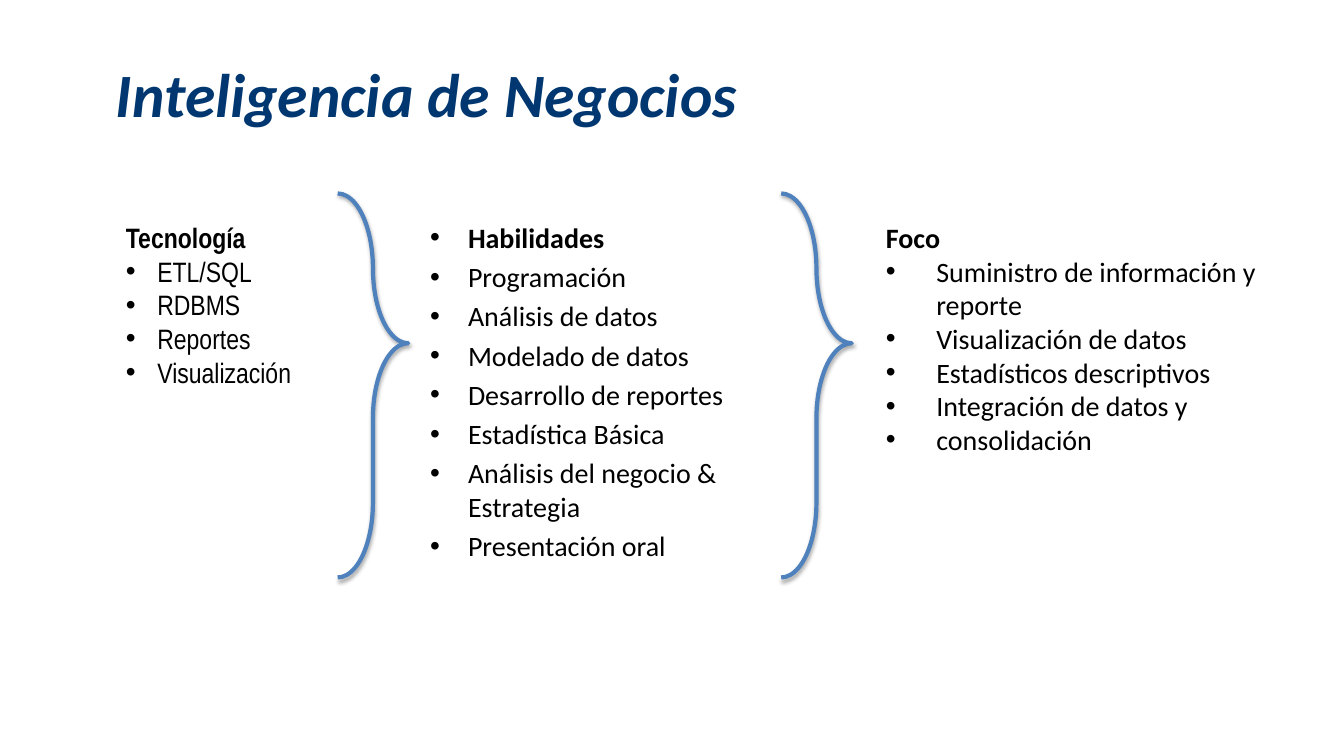
import pptx
import pptx.dml.color
import pptx.enum.shapes
import pptx.enum.text
import pptx.oxml.ns
import pptx.util
from lxml import etree

Pt = pptx.util.Pt

TITLE = "Inteligencia de Negocios"
COLUMNS = [
    {
        "heading": "Tecnología",
        "items": ["ETL/SQL", "RDBMS", "Reportes", "Visualización"],
        "font": "Arial Narrow", "left": 82.8, "width": 480, "height": 128,
        "indent": 22.5, "gap": 0, "bullet_heading": False,
    },
    {
        "heading": "Habilidades",
        "items": ["Programación", "Análisis de datos", "Modelado de datos",
                  "Desarrollo de reportes", "Estadística Básica",
                  "Análisis del negocio & Estrategia", "Presentación oral"],
        "font": "Calibri", "left": 300.2, "width": 291.6, "height": 342.7,
        "indent": 27, "gap": 4, "bullet_heading": True,
    },
    {
        "heading": "Foco",
        "items": ["Suministro de información y reporte", "Visualización de datos",
                  "Estadísticos descriptivos", "Integración de datos y", "consolidación"],
        "font": "Calibri", "left": 625.7, "width": 334, "height": 177,
        "indent": 36, "gap": 0, "bullet_heading": False,
    },
]
COLUMN_TOP = 154
BRACE_LEFTS = (241.2, 558)
BRACE_TOP, BRACE_WIDTH, BRACE_HEIGHT = 138.2, 50.4, 274.3


def color(hex_string):
    return pptx.dml.color.RGBColor.from_string(hex_string)


def add_run(paragraph, text, font_name, size, hex_color, bold=False, italic=False):
    run = paragraph.add_run()
    run.text = text
    run.font.name = font_name
    run.font.size = Pt(size)
    run.font.bold = bold
    run.font.italic = italic
    run.font.color.rgb = color(hex_color)


def add_child(parent, tag, **attributes):
    child = etree.SubElement(parent, pptx.oxml.ns.qn(tag))
    for name, value in attributes.items():
        child.set(name, str(value))
    return child


def add_bullet(paragraph, indent):
    properties = paragraph._p.get_or_add_pPr()
    properties.set("marL", str(int(Pt(indent))))
    properties.set("indent", str(-int(Pt(indent))))
    add_child(properties, "a:buFont", typeface="Arial")
    add_child(properties, "a:buChar", char="•")


def add_column(slide, column):
    box = slide.shapes.add_textbox(Pt(column["left"]), Pt(COLUMN_TOP),
                                   Pt(column["width"]), Pt(column["height"]))
    frame = box.text_frame
    frame.word_wrap = True
    for index, text in enumerate([column["heading"]] + column["items"]):
        is_heading = index == 0
        paragraph = frame.paragraphs[0] if is_heading else frame.add_paragraph()
        if not is_heading or column["bullet_heading"]:
            add_bullet(paragraph, column["indent"])
        paragraph.space_before = Pt(0 if is_heading else column["gap"])
        add_run(paragraph, text, column["font"], 20, "000000", bold=is_heading)


def add_brace(slide, left):
    brace = slide.shapes.add_shape(pptx.enum.shapes.MSO_SHAPE.RIGHT_BRACE, Pt(left),
                                   Pt(BRACE_TOP), Pt(BRACE_WIDTH), Pt(BRACE_HEIGHT))
    brace.adjustments[0] = 1.106
    brace.adjustments[1] = 0.39
    brace.fill.background()
    brace.line.color.rgb = color("4F81BD")
    brace.line.width = Pt(3)
    brace.shadow.inherit = False
    effects = brace._element.spPr.find(pptx.oxml.ns.qn("a:effectLst"))
    shadow = add_child(effects, "a:outerShdw", blurRad=int(Pt(3.1)), dist=int(Pt(1.8)),
                       dir=90 * 60000, rotWithShape=0)
    shadow_color = add_child(shadow, "a:srgbClr", val="000000")
    add_child(shadow_color, "a:alpha", val=35000)


def add_title(slide):
    title = slide.shapes.title
    title.left, title.top, title.width, title.height = Pt(75.6), Pt(21.6), Pt(836), Pt(90)
    title.text_frame.vertical_anchor = pptx.enum.text.MSO_ANCHOR.MIDDLE
    paragraph = title.text_frame.paragraphs[0]
    paragraph.alignment = pptx.enum.text.PP_ALIGN.LEFT
    add_run(paragraph, TITLE, "Calibri", 44, "003770", bold=True, italic=True)


def main():
    presentation = pptx.Presentation()
    presentation.slide_width, presentation.slide_height = Pt(960), Pt(540)
    slide = presentation.slides.add_slide(presentation.slide_layouts[5])
    add_title(slide)
    for column in COLUMNS:
        add_column(slide, column)
    for left in BRACE_LEFTS:
        add_brace(slide, left)
    presentation.save("out.pptx")


if __name__ == "__main__":
    main()
